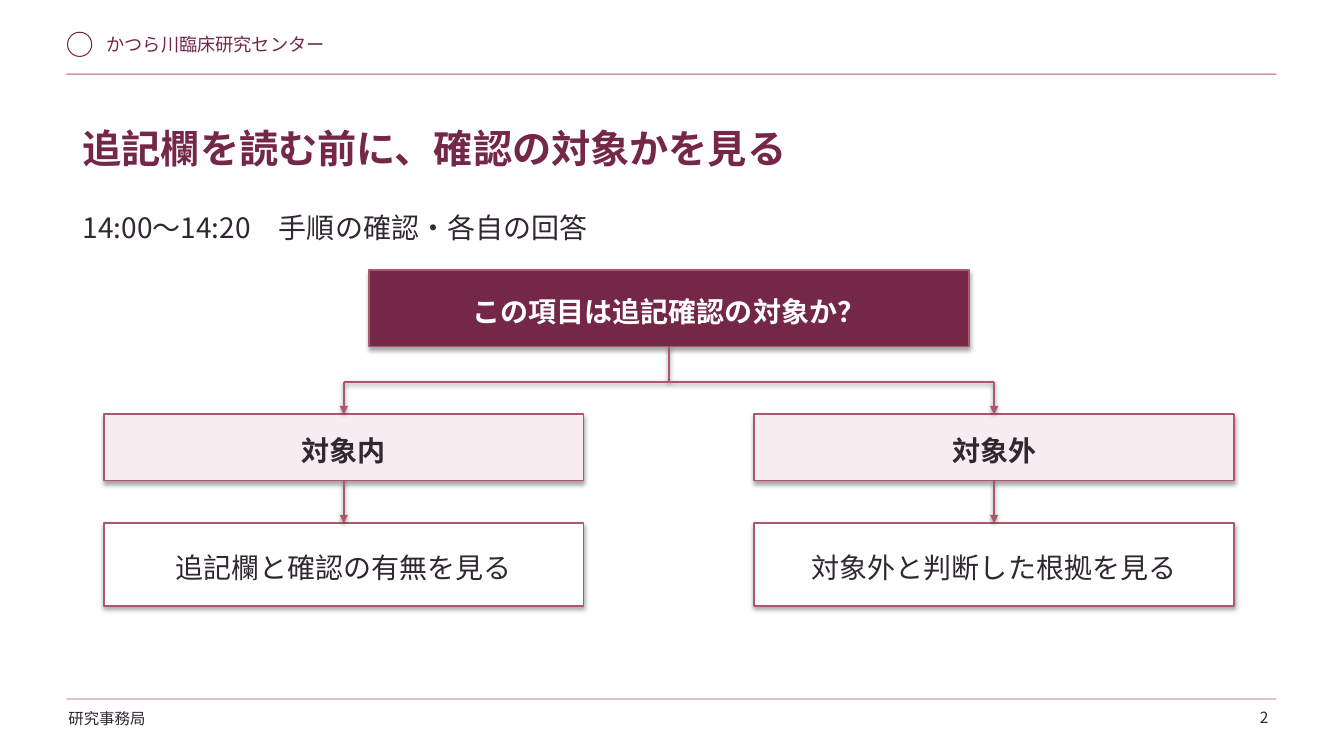
from lxml import etree
from pptx import Presentation
from pptx.dml.color import RGBColor
from pptx.enum import shapes, text
from pptx.oxml import ns
from pptx.util import Inches, Pt

WINE = RGBColor(0x74, 0x27, 0x47)
ROSE = RGBColor(0xAB, 0x58, 0x6C)
BLUSH = RGBColor(0xF7, 0xED, 0xF1)
INK = RGBColor(0x30, 0x28, 0x30)
WHITE = RGBColor(0xFF, 0xFF, 0xFF)
FONT = "Noto Sans CJK JP"


def write(sp, words, size, color, bold=False, align=text.PP_ALIGN.LEFT, spacing=1.17):
    tf = sp.text_frame
    tf.word_wrap = True
    tf.text = words
    p = tf.paragraphs[0]
    p.alignment = align
    p.line_spacing = spacing
    r = p.runs[0]
    r.font.name = FONT
    r.font.size = Pt(size)
    r.font.bold = bold
    r.font.color.rgb = color
    etree.SubElement(r.font._element, ns.qn("a:ea")).set("typeface", FONT)


def connect(x1, y1, x2, y2, arrow=False):
    line = s.shapes.add_connector(
        shapes.MSO_CONNECTOR.STRAIGHT, Inches(x1), Inches(y1), Inches(x2), Inches(y2))
    line.line.color.rgb = ROSE
    line.line.width = Pt(1.7)
    if arrow:
        ln = line.line._get_or_add_ln()
        etree.SubElement(ln, ns.qn("a:tailEnd")).set("type", "triangle")
    return line


prs = Presentation()
prs.slide_width, prs.slide_height = Inches(13.33), Inches(7.5)
s = prs.slides.add_slide(prs.slide_layouts[5])

emblem = s.shapes.add_shape(
    shapes.MSO_SHAPE.OVAL, Inches(0.67), Inches(0.32), Inches(0.24), Inches(0.24))
emblem.shadow.inherit = False
emblem.fill.background()
emblem.line.color.rgb = WINE
emblem.line.width = Pt(0.75)

for y in (0.73, 6.93):
    rule = s.shapes.add_shape(
        shapes.MSO_SHAPE.RECTANGLE, Inches(0.66), Inches(y), Inches(12), Inches(0.01))
    rule.shadow.inherit = False
    rule.fill.solid()
    rule.fill.fore_color.rgb = ROSE
    rule.line.fill.background()

title = s.shapes.title
title.left, title.top, title.width, title.height = (
    Inches(v) for v in (0.72, 1.02, 11.9, 0.81))
write(title, "追記欄を読む前に、確認の対象かを見る", 28, WINE, bold=True)
tf = title.text_frame
tf.margin_left = tf.margin_top = tf.margin_right = tf.margin_bottom = Inches(0.1)

organisation = s.shapes.add_textbox(Inches(0.96), Inches(0.28), Inches(3.3), Inches(0.35))
write(organisation, "かつら川臨床研究センター", 13, WINE, spacing=1.0)
office = s.shapes.add_textbox(Inches(0.58), Inches(6.99), Inches(1.8), Inches(0.36))
write(office, "研究事務局", 11, INK, spacing=1.0)

schedule = s.shapes.add_textbox(Inches(0.82), Inches(2.03), Inches(11.6), Inches(0.45))
write(schedule, "14:00〜14:20　手順の確認・各自の回答", 20, INK)
number = s.shapes.add_textbox(Inches(12.08), Inches(6.99), Inches(0.5), Inches(0.27))
write(number, "2", 11, INK, align=text.PP_ALIGN.RIGHT)
for sp in (schedule, number):
    tf = sp.text_frame
    tf.margin_left = tf.margin_top = tf.margin_right = tf.margin_bottom = 0

boxes = []
for words, x, y, w, h, fill, color, bold in (
    ("この項目は追記確認の対象か？", 3.66, 2.68, 5.95, 0.76, WINE, WHITE, True),
    ("対象内", 1.03, 4.11, 4.76, 0.66, BLUSH, INK, True),
    ("対象外", 7.48, 4.11, 4.76, 0.66, BLUSH, INK, True),
    ("追記欄と確認の有無を見る", 1.03, 5.19, 4.76, 0.82, WHITE, INK, False),
    ("対象外と判断した根拠を見る", 7.48, 5.19, 4.76, 0.82, WHITE, INK, False),
):
    sp = s.shapes.add_shape(
        shapes.MSO_SHAPE.RECTANGLE, Inches(x), Inches(y), Inches(w), Inches(h))
    sp.fill.solid()
    sp.fill.fore_color.rgb = fill
    sp.line.color.rgb = ROSE
    sp.line.width = Pt(1.1)
    write(sp, words, 20, color, bold, text.PP_ALIGN.CENTER)
    sp.text_frame.vertical_anchor = text.MSO_ANCHOR.MIDDLE
    boxes.append(sp)

question, inside, outside, inside_step, outside_step = boxes
trunk = connect(6.63, 3.44, 6.63, 3.79)
trunk.begin_connect(question, 2)
trunk.end_x = trunk.begin_x
connect(3.41, 3.79, 9.86, 3.79)
for x, answer, step in ((3.41, inside, inside_step), (9.86, outside, outside_step)):
    branch = connect(x, 3.79, x, 4.11, arrow=True)
    branch.end_connect(answer, 0)
    down = connect(x, 4.77, x, 5.19, arrow=True)
    down.begin_connect(answer, 2)
    down.end_connect(step, 0)

prs.save("out.pptx")
